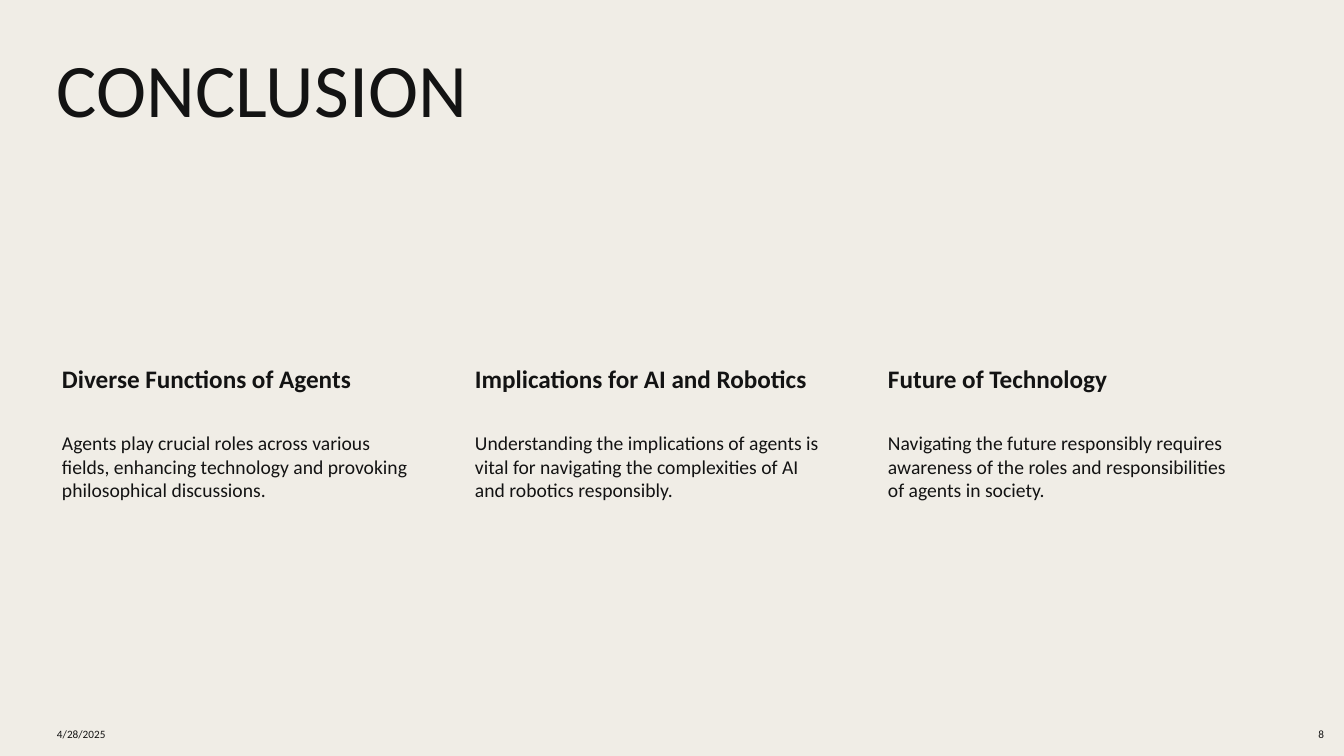
from pptx import Presentation
from pptx.dml.color import RGBColor
from pptx.enum.text import MSO_ANCHOR, PP_ALIGN
from pptx.util import Emu, Pt

TOP, MIDDLE = MSO_ANCHOR.TOP, MSO_ANCHOR.MIDDLE
LEFT, RIGHT = PP_ALIGN.LEFT, PP_ALIGN.RIGHT

# Content
TITLE = "CONCLUSION"
COLUMNS = [
    ("Diverse Functions of Agents",
     "Agents play crucial roles across various fields, enhancing technology "
     "and provoking philosophical discussions."),
    ("Implications for AI and Robotics",
     "Understanding the implications of agents is vital for navigating the "
     "complexities of AI and robotics responsibly."),
    ("Future of Technology",
     "Navigating the future responsibly requires awareness of the roles and "
     "responsibilities of agents in society."),
]
DATE, PAGE = "4/28/2025", "8"

# Style
FONT = "Calibri"
COLORS = {"background": "F0EDE6", "text": "131313"}

# Layout in px
SLIDE_W, SLIDE_H = 1344, 756
MARGIN = 47
COLUMN_W, COLUMN_STEP = 375, 413
HEADING_Y, HEADING_H = 360, 69
BODY_Y, BODY_H = HEADING_Y + HEADING_H, 241
FOOTER_Y, FOOTER_H = 716, 37
BOX_INSETS = (10, 5, 10, 5)
HEADING_INSETS = (15, 3, 3, 3)
BODY_INSETS = (15, 2, 2, 2)


def px(n):
    return Emu(round(n * 12192000 / SLIDE_W))


def add_text(slide, box, text, size, insets=BOX_INSETS, bold=False,
             anchor=TOP, align=LEFT, line_spacing=1.0):
    tf = slide.shapes.add_textbox(*map(px, box)).text_frame
    tf.word_wrap = True
    tf.vertical_anchor = anchor
    tf.margin_left, tf.margin_top, tf.margin_right, tf.margin_bottom = map(px, insets)
    p = tf.paragraphs[0]
    p.alignment = align
    p.line_spacing = line_spacing
    r = p.add_run()
    r.text = text
    r.font.name = FONT
    r.font.size = Pt(size)
    r.font.bold = bold
    r.font.color.rgb = RGBColor.from_string(COLORS["text"])


def main():
    prs = Presentation()
    prs.slide_width, prs.slide_height = px(SLIDE_W), px(SLIDE_H)
    s = prs.slides.add_slide(prs.slide_layouts[6])
    fill = s.background.fill
    fill.solid()
    fill.fore_color.rgb = RGBColor.from_string(COLORS["background"])

    # Title
    add_text(s, (MARGIN, 47, 1201, 179), TITLE, 54, line_spacing=0.9)

    # Three columns
    for i, (heading, body) in enumerate(COLUMNS):
        x = MARGIN + i * COLUMN_STEP
        add_text(s, (x, HEADING_Y, COLUMN_W, HEADING_H), heading, 18,
                 HEADING_INSETS, bold=True)
        add_text(s, (x, BODY_Y, COLUMN_W, BODY_H), body, 14, BODY_INSETS)

    # Footer
    add_text(s, (MARGIN, FOOTER_Y, 313, FOOTER_H), DATE, 8, anchor=MIDDLE)
    add_text(s, (1284, FOOTER_Y, 50, FOOTER_H), PAGE, 8, anchor=MIDDLE, align=RIGHT)

    prs.save("out.pptx")


if __name__ == "__main__":
    main()
